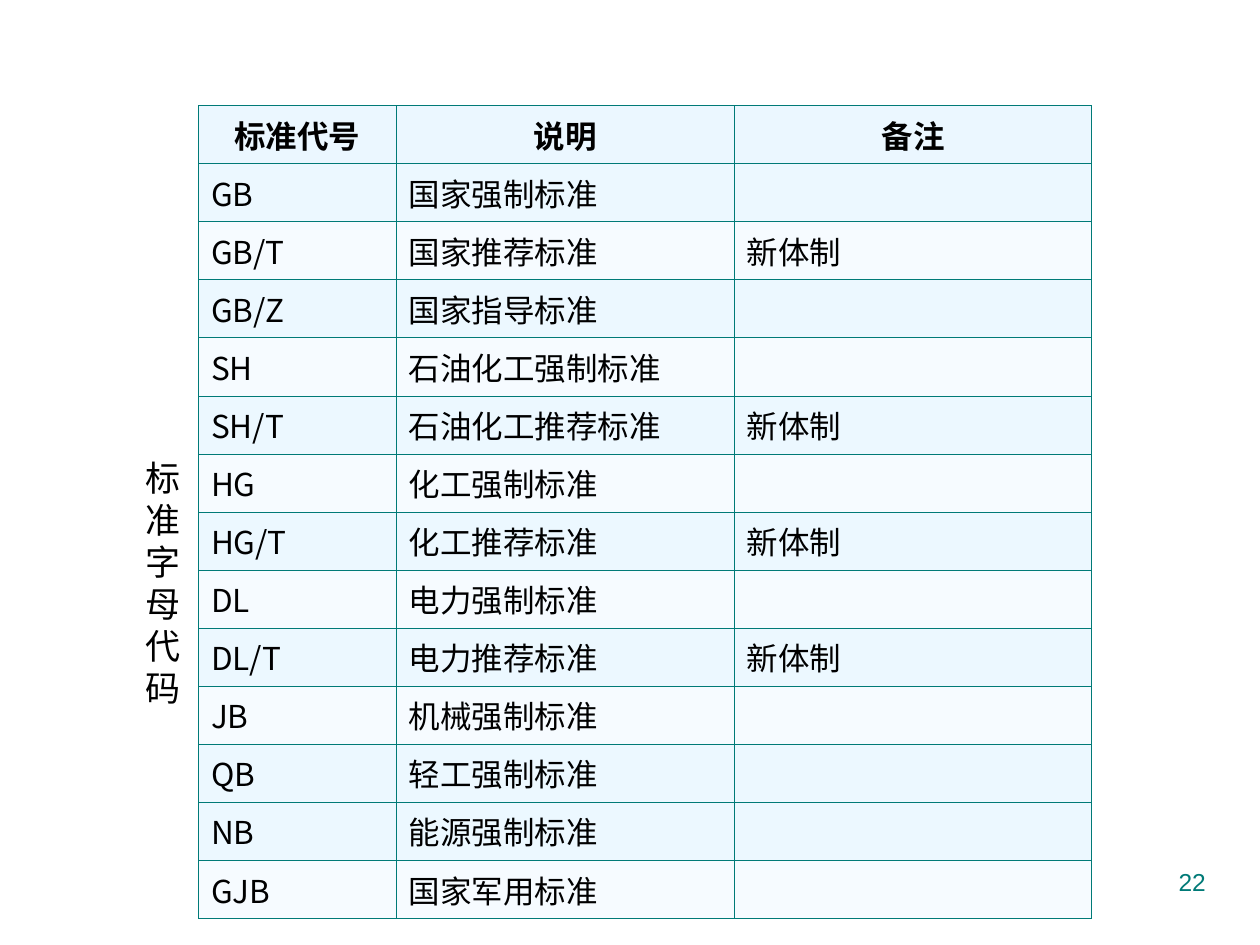
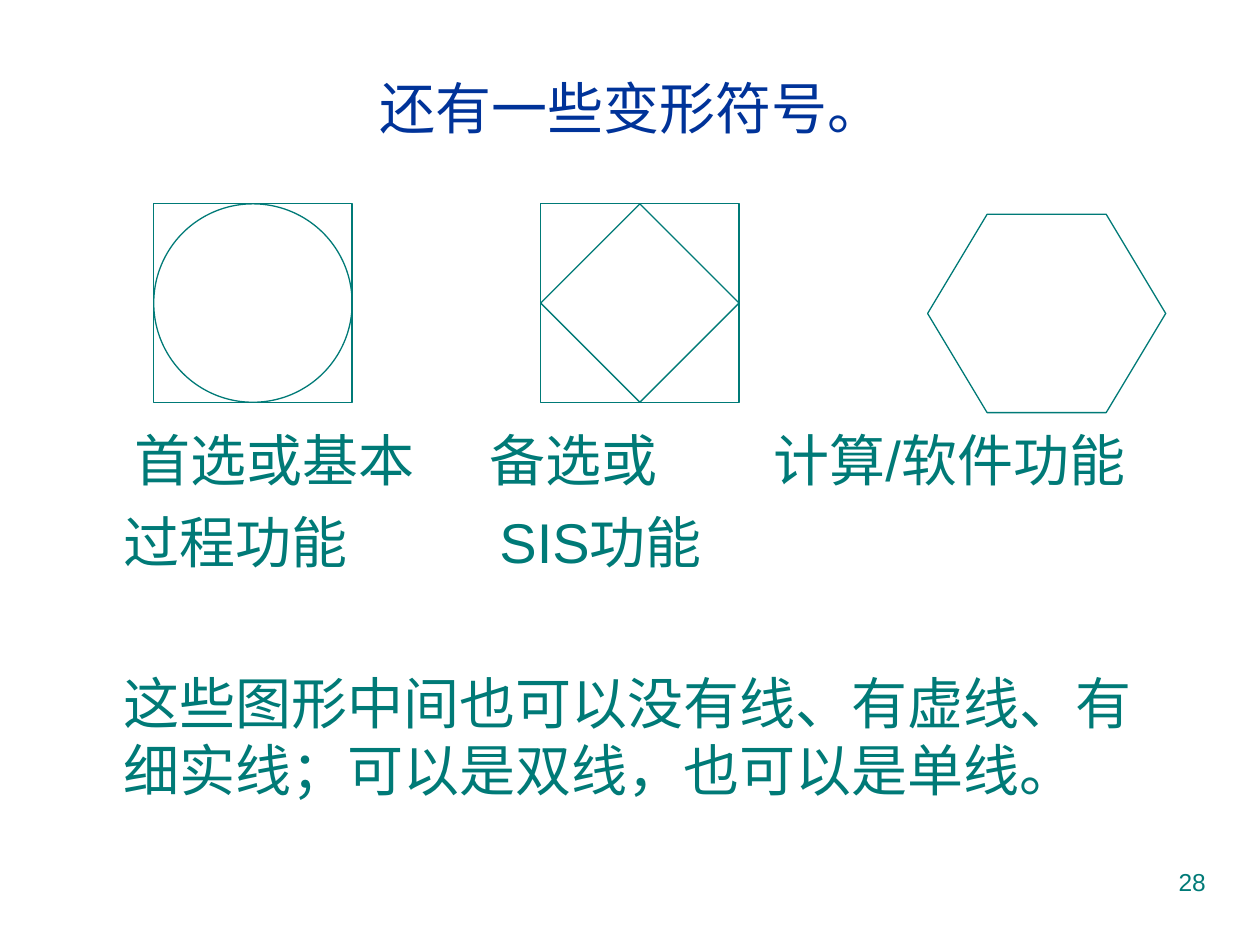
import pptx
import pptx.util
import pptx.dml.color
import pptx.enum.shapes
import pptx.enum.text
import pptx.oxml.ns
from lxml import etree

Cm = pptx.util.Cm
Pt = pptx.util.Pt
Kind = pptx.enum.shapes.MSO_SHAPE
Align = pptx.enum.text.PP_ALIGN
Anchor = pptx.enum.text.MSO_ANCHOR
qn = pptx.oxml.ns.qn

COLORS = {"teal": "007A77", "navy": "003399", "black": "000000",
          "head": "EBF7FF", "tint": "ECF8FF", "pale": "F6FBFF"}
FONTS = {
    "page": {"name": "Arial", "size": Pt(14), "color": "teal"},
    "title": {"name": "Arial", "size": Pt(32), "color": "navy"},
    "body": {"name": "Arial", "size": Pt(32), "color": "teal"},
    "side": {"name": "Noto Sans CJK JP", "size": Pt(20), "color": "black"},
    "cell": {"name": "Noto Sans CJK SC", "size": Pt(18), "color": "black", "bold": False},
    "head": {"name": "Noto Sans CJK SC", "size": Pt(18), "color": "black", "bold": True},
}
CODES = [
    ("标准代号", "说明", "备注"),
    ("GB", "国家强制标准", ""),
    ("GB/T", "国家推荐标准", "新体制"),
    ("GB/Z", "国家指导标准", ""),
    ("SH", "石油化工强制标准", ""),
    ("SH/T", "石油化工推荐标准", "新体制"),
    ("HG", "化工强制标准", ""),
    ("HG/T", "化工推荐标准", "新体制"),
    ("DL", "电力强制标准", ""),
    ("DL/T", "电力推荐标准", "新体制"),
    ("JB", "机械强制标准", ""),
    ("QB", "轻工强制标准", ""),
    ("NB", "能源强制标准", ""),
    ("GJB", "国家军用标准", ""),
]


def color(key):
    return pptx.dml.color.RGBColor.from_string(COLORS[key])


class Deck:
    def __init__(self):
        self.file = pptx.Presentation()
        self.file.slide_width, self.file.slide_height = Cm(25.4), Cm(19.05)
        self.slide = None

    def start(self, page, title=None):
        layout = self.file.slide_layouts[5 if title else 6]
        self.slide = self.file.slides.add_slide(layout)
        if title:
            head = self.slide.shapes.title
            places = {"left": 1.3, "top": 0, "width": 22.86, "height": 4.32}
            for name, value in places.items():
                setattr(head, name, Cm(value))
            head.text_frame.vertical_anchor = Anchor.MIDDLE
            self.put(head.text_frame.paragraphs[0], title, "title", alignment=Align.CENTER)
        self.text((18.21, 17.35, 6.35, 1.32), [(page, {"alignment": Align.RIGHT})], "page")

    def put(self, para, text, style, tabs=(), **looks):
        para.text = text
        if tabs:
            stops = etree.SubElement(para._p.get_or_add_pPr(), qn("a:tabLst"))
            for stop in tabs:
                etree.SubElement(stops, qn("a:tab"), pos=str(Cm(stop)), algn="l")
        for name, value in looks.items():
            setattr(para, name, value)
        for run in para.runs:
            for name, value in FONTS[style].items():
                if name == "color":
                    run.font.color.rgb = color(value)
                else:
                    setattr(run.font, name, value)
            if FONTS[style]["name"] != "Arial":
                face = etree.SubElement(run._r.get_or_add_rPr(), qn("a:ea"))
                face.set("typeface", FONTS[style]["name"])

    def text(self, box, lines, style):
        frame = self.slide.shapes.add_textbox(*map(Cm, box)).text_frame
        frame.word_wrap = True
        for n, (text, looks) in enumerate(lines):
            para = frame.add_paragraph() if n else frame.paragraphs[0]
            self.put(para, text, style, **looks)

    def shape(self, kind, box):
        item = self.slide.shapes.add_shape(kind, *map(Cm, box))
        item.shadow.inherit = False
        item.fill.background()
        item.line.color.rgb = color("teal")
        item.line.width = Pt(0.75)
        return item

    def edge(self, cell):
        props = cell._tc.get_or_add_tcPr()
        for side in ("lnL", "lnR", "lnT", "lnB"):
            line = etree.SubElement(props, qn("a:" + side), w=str(Pt(0.45)))
            fill = etree.SubElement(line, qn("a:solidFill"))
            etree.SubElement(fill, qn("a:srgbClr"), val=COLORS["teal"])

    def table(self, left, top, widths, high, rows, fills):
        size = (left, top, sum(widths), high * len(rows))
        grid = self.slide.shapes.add_table(len(rows), len(widths), *map(Cm, size)).table
        grid.first_row = grid.horz_banding = False
        for column, width in zip(grid.columns, widths):
            column.width = Cm(width)
        for n, (row, fill) in enumerate(zip(rows, fills)):
            grid.rows[n].height = Cm(high)
            style, align = ("cell", Align.LEFT) if n else ("head", Align.CENTER)
            for m, text in enumerate(row):
                cell = grid.cell(n, m)
                self.edge(cell)
                cell.fill.solid()
                cell.fill.fore_color.rgb = color(fill)
                cell.vertical_anchor = Anchor.MIDDLE
                self.put(cell.text_frame.paragraphs[0], text, style, alignment=align)


def codes(deck):
    deck.start("22")
    fills = ["head"] + ["tint", "pale"] * 5 + ["tint", "tint", "pale"]
    deck.table(4, 2.13, (3.99, 6.81, 7.21), 1.17, CODES, fills)
    lines = [(char, {"line_spacing": Pt(24)}) for char in "标准字母代码"]
    deck.text((2.69, 9.07, 0.99, 5.4), lines, "side")


def signs(deck):
    deck.start("28", "还有一些变形符号。")
    deck.text((2.24, 8.46, 21.89, 8.2), [
        ("\t首选或基本\t备选或\t计算/软件功能", {"tabs": (0.22, 7.38, 13.1)}),
        ("过程功能\tSIS功能", {"tabs": (7.58,), "space_before": Pt(8)}),
        ("这些图形中间也可以没有线、有虚线、有细实线；可以是双线，也可以是单线。",
         {"space_before": Pt(54)}),
    ], "body")
    side = 4
    for left, inner in ((3.1, Kind.OVAL), (10.9, Kind.DIAMOND)):
        for kind in (Kind.RECTANGLE, inner):
            deck.shape(kind, (left, 4.11, side, side))
    hexa = deck.shape(Kind.HEXAGON, (18.7, 4.32, 4.8, side))
    hexa.adjustments[0] = 0.3


def main():
    deck = Deck()
    codes(deck)
    signs(deck)
    deck.file.save("out.pptx")


if __name__ == "__main__":
    main()
